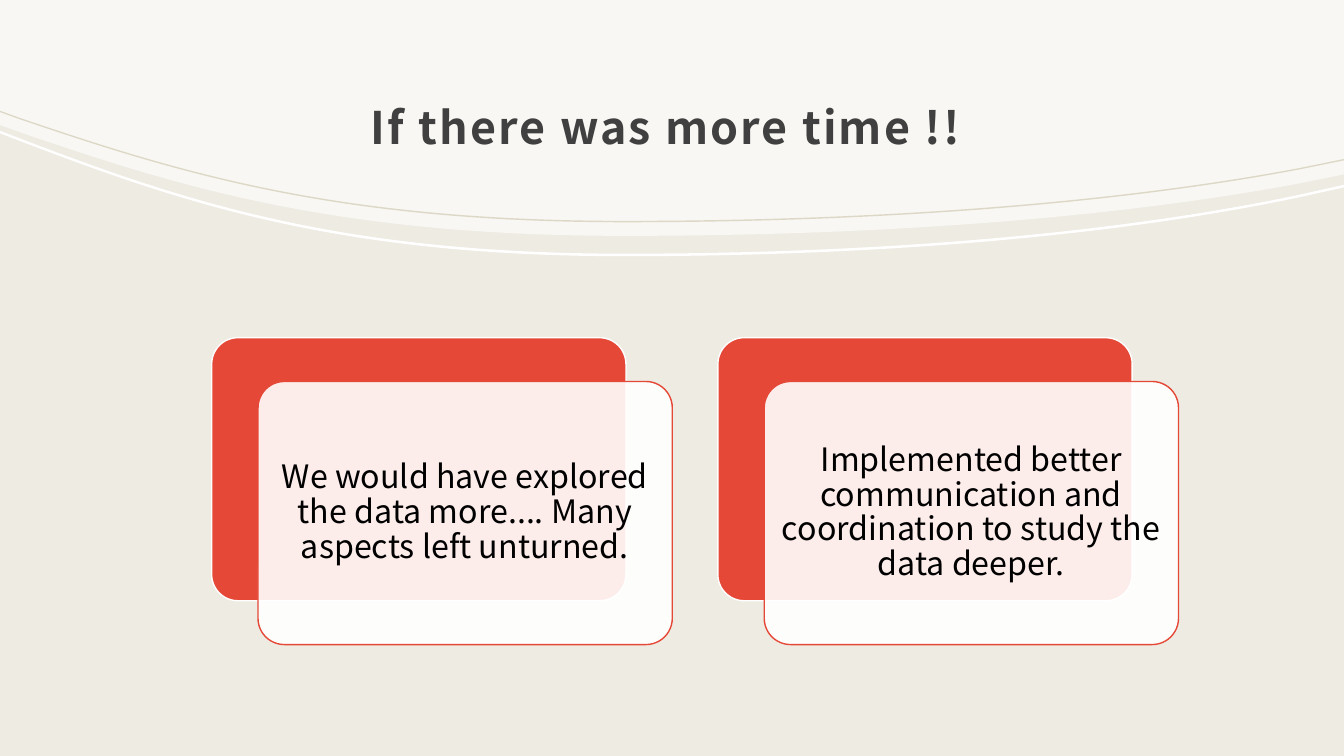
from dataclasses import dataclass

from lxml.etree import SubElement
from pptx import Presentation
from pptx.dml.color import RGBColor
from pptx.enum.shapes import MSO_SHAPE as Preset
from pptx.enum.text import MSO_ANCHOR as Anchor
from pptx.enum.text import MSO_AUTO_SIZE as AutoSize
from pptx.enum.text import PP_ALIGN as Align
from pptx.oxml.ns import qn
from pptx.shapes.autoshape import Shape
from pptx.shapes.shapetree import GroupShapes
from pptx.slide import Slide
from pptx.util import Pt

FONT = "Noto Sans CJK JP"
BEIGE = RGBColor(0xEE, 0xEB, 0xE2)
TAN = RGBColor(0xDD, 0xD7, 0xC5)
WHITE = RGBColor(0xFF, 0xFF, 0xFF)
RED = RGBColor(0xE5, 0x48, 0x37)
GREY = RGBColor(0x40, 0x40, 0x40)
BLACK = RGBColor(0x00, 0x00, 0x00)

SLIDE_WIDTH, SLIDE_HEIGHT = 960, 540
CARD_WIDTH, CARD_HEIGHT = 295.9, 187.9
CARD_LEFT, CARD_TOP, CARD_PITCH = 151.2, 241.2, 361.6
FRONT_SHIFT_X, FRONT_SHIFT_Y = 33.1, 31.3
TEXT_INSET = 5.4

# Horizontal places shared by all sweeping edges: a line, two Bezier curves, a line
EDGE_X = (0, 13.7, 128.9, 239.8, 446.4, 630, 798.5, 928.1, 960)
CURVE_STARTS = (2, 5)


@dataclass(frozen=True)
class Sweep:
    """A filled band whose lower edge sweeps across the slide."""
    edge_y: tuple[float, ...]
    color: RGBColor
    thickness: float | None = None  # None fills up to the slide's top
    opacity: int = 100


SHEET = Sweep((89.3, 94.3, 133.9, 168.5, 168.5, 168.5, 155.5, 131, 124.6), WHITE, opacity=60)
WHITE_RIBBON = Sweep((95.2, 100.5, 144.5, 183, 183, 183, 168.3, 140.9, 133.8), WHITE, 1.8)
TAN_RIBBON = Sweep((80.1, 85.1, 124.2, 158.8, 158.8, 158.8, 145.6, 121.1, 114.6), TAN, 1)

CARD_TEXTS = (
    "We would have explored the data more.... Many aspects left unturned.",
    "Implemented better communication and coordination to study the data deeper.",
)


def set_fill(shape: Shape, color: RGBColor, opacity: int = 100) -> None:
    shape.shadow.inherit = False
    shape.fill.solid()
    shape.fill.fore_color.rgb = color
    if opacity < 100:
        tint = shape.element.spPr.find(qn("a:solidFill")).find(qn("a:srgbClr"))
        SubElement(tint, qn("a:alpha"), val=str(opacity * 1000))


def bend(band: Shape, curve_starts: list[int]) -> None:
    """Join three straight segments into one Bezier curve at each start."""
    outline = next(band.element.iter(qn("a:path")))
    lines = outline.findall(qn("a:lnTo"))
    for start in curve_starts:
        trio = lines[start - 1:start + 2]
        curve = SubElement(outline, qn("a:cubicBezTo"))
        trio[0].addprevious(curve)
        for line in trio:
            curve.append(line[0])
            outline.remove(line)


def add_sweep(page: Slide, sweep: Sweep) -> Shape:
    lower = list(zip(EDGE_X, sweep.edge_y))
    if sweep.thickness is None:
        upper = [(0, 0), (SLIDE_WIDTH, 0)]
        edge_starts = [len(upper)]
    else:
        upper = [(x, y - sweep.thickness) for x, y in lower]
        edge_starts = [0, len(upper)]
    outline = [(Pt(x), Pt(y)) for x, y in upper + lower[::-1]]
    builder = page.shapes.build_freeform(*outline[0])
    builder.add_line_segments(outline[1:], close=True)
    band = builder.convert_to_shape()
    bend(band, [edge + curve for edge in edge_starts for curve in CURVE_STARTS])
    set_fill(band, sweep.color, sweep.opacity)
    band.line.fill.background()
    return band


def add_panel(shapes: GroupShapes, left: float, top: float, fill: RGBColor,
              line: RGBColor, opacity: int = 100) -> None:
    panel = shapes.add_shape(Preset.ROUNDED_RECTANGLE, Pt(left), Pt(top),
                             Pt(CARD_WIDTH), Pt(CARD_HEIGHT))
    panel.adjustments[0] = 0.1
    set_fill(panel, fill, opacity)
    panel.line.color.rgb = line
    panel.line.width = Pt(1)


def write(shape: Shape, text: str, size: float, color: RGBColor,
          line_spacing: float, bold: bool = False) -> None:
    frame = shape.text_frame
    frame.word_wrap = True
    frame.auto_size = AutoSize.NONE
    frame.vertical_anchor = Anchor.MIDDLE
    frame.margin_left = frame.margin_right = Pt(7.2)
    frame.margin_top = frame.margin_bottom = Pt(7.2)
    para = frame.paragraphs[0]
    para.alignment = Align.CENTER
    para.line_spacing = line_spacing
    span = para.add_run()
    span.text = text
    span.font.name = FONT
    span.font.size = Pt(size)
    span.font.bold = bold
    span.font.color.rgb = color


def add_card(shapes: GroupShapes, left: float, text: str) -> None:
    front_left, front_top = left + FRONT_SHIFT_X, CARD_TOP + FRONT_SHIFT_Y
    add_panel(shapes, left, CARD_TOP, RED, WHITE)
    add_panel(shapes, front_left, front_top, WHITE, RED, 90)
    box = shapes.add_textbox(Pt(front_left + TEXT_INSET), Pt(front_top + TEXT_INSET),
                             Pt(CARD_WIDTH - 2 * TEXT_INSET), Pt(CARD_HEIGHT - 2 * TEXT_INSET))
    write(box, text, 23, BLACK, 0.9)


def main() -> None:
    deck = Presentation()
    deck.slide_width, deck.slide_height = Pt(SLIDE_WIDTH), Pt(SLIDE_HEIGHT)
    page = deck.slides.add_slide(deck.slide_layouts[5])
    page.background.fill.solid()
    page.background.fill.fore_color.rgb = BEIGE

    # Title
    title = page.shapes.title
    title.left, title.top, title.width, title.height = Pt(96), Pt(42.8), Pt(768), Pt(82.1)
    write(title, "If there was more time !! ", 32, GREY, 1.3, bold=True)
    title.text_frame.margin_left = title.text_frame.margin_right = Pt(8.6)
    title.text_frame.margin_top = Pt(8.6)
    next(title.element.iter(qn("a:rPr"))).set("spc", "150")

    # Sweeping header, with the translucent sheet behind the title
    for sweep in (SHEET, WHITE_RIBBON):
        title.element.addprevious(add_sweep(page, sweep).element)
    add_sweep(page, TAN_RIBBON)

    # Cards
    cards = page.shapes.add_group_shape()
    for index, text in enumerate(CARD_TEXTS):
        add_card(cards.shapes, CARD_LEFT + index * CARD_PITCH, text)

    deck.save("out.pptx")


if __name__ == "__main__":
    main()
